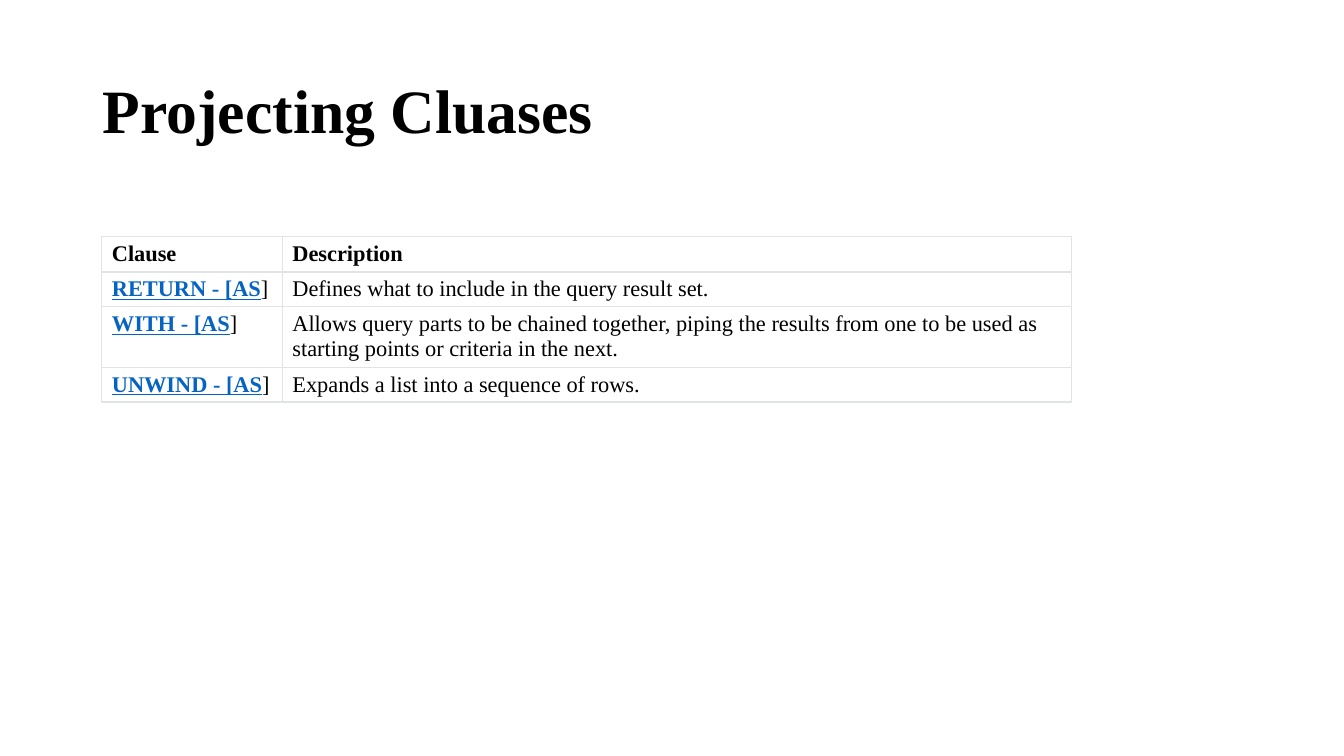
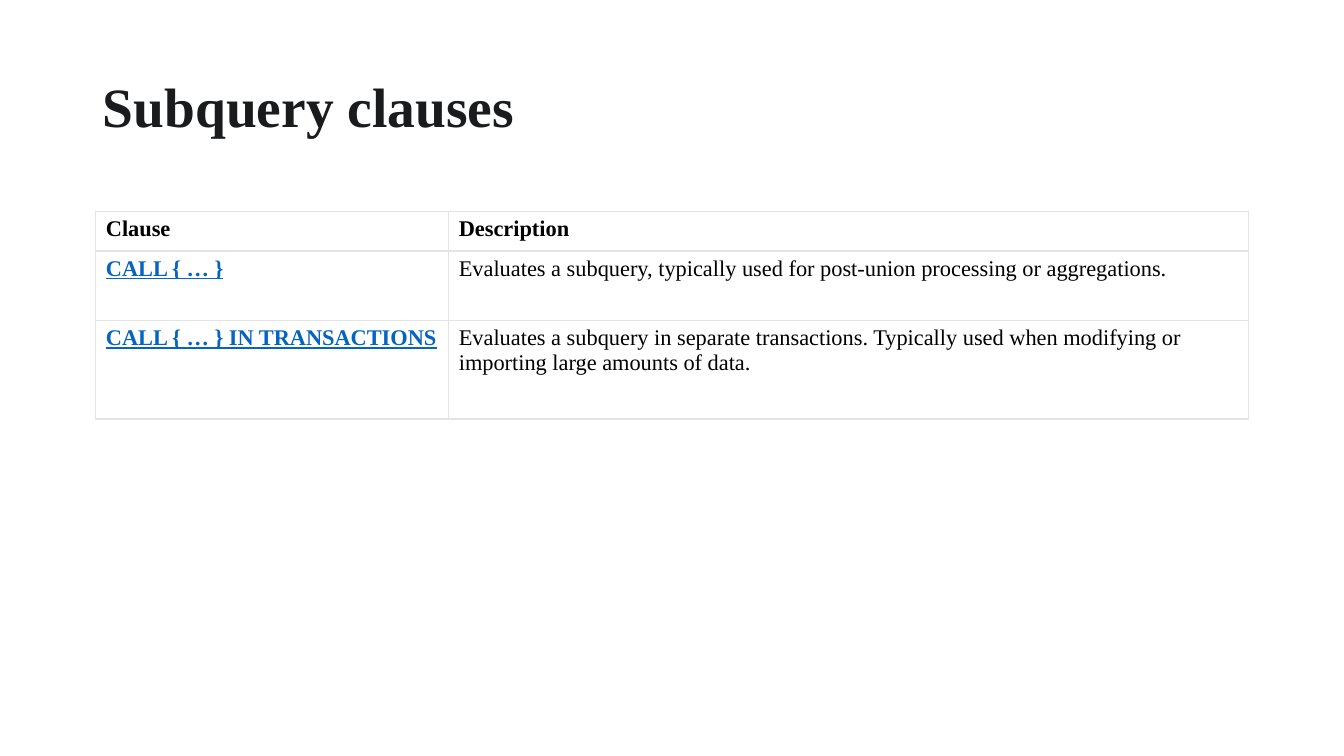
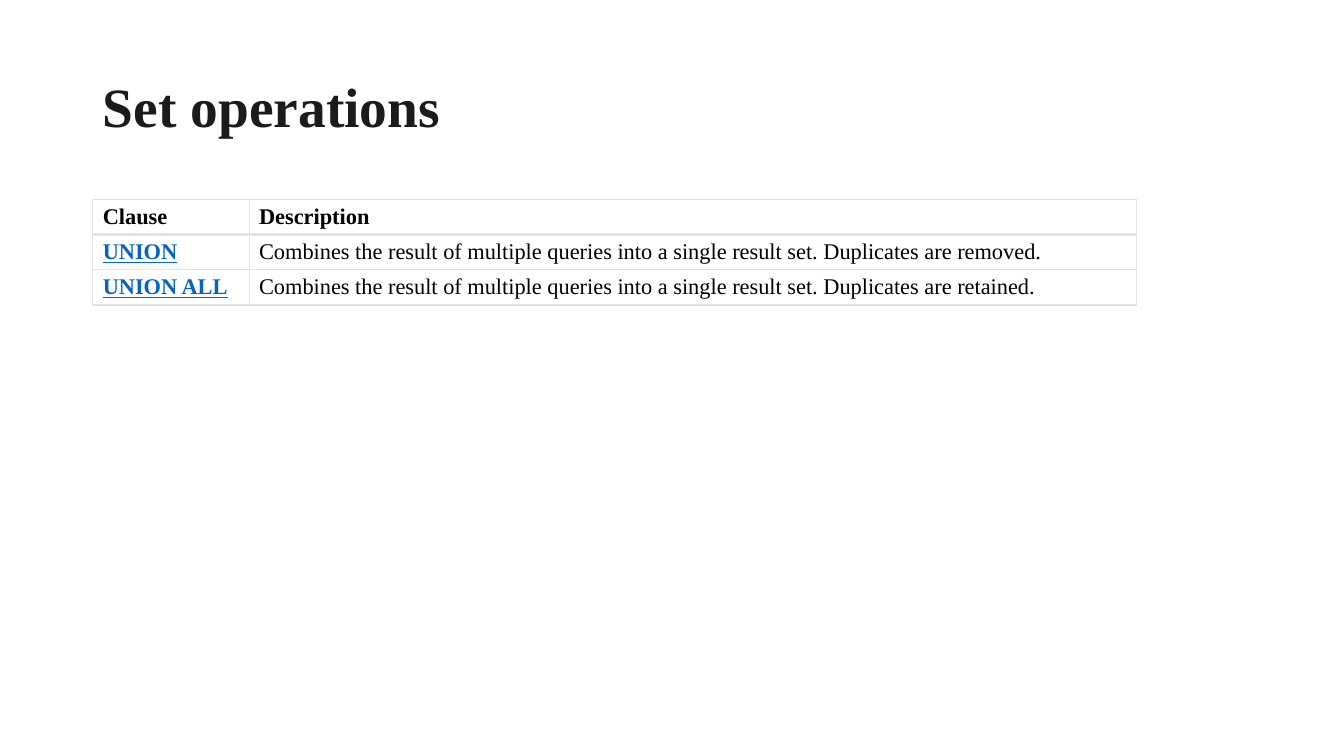
"""Three slides of query clauses, each a title over a two-column table."""
from lxml import etree
from pptx import Presentation, util as u
from pptx.dml.color import RGBColor
from pptx.enum import text
from pptx.oxml.ns import qn

COLORS = {"ink": "000000", "title": "1A1B1D", "link": "0563C1", "rule": "E2E3E5", "paper": "FFFFFF"}
FONT = "Times New Roman"
THIN, THICK = 0.75, 1.88
ROW, TALL_ROW = 4.64, 7.95

prs = Presentation()
prs.slide_width, prs.slide_height = u.Inches(13.33), u.Inches(7.5)
COL_UNIT, ROW_UNIT = prs.slide_width / 100, prs.slide_height / 100


def style(font, size, color, bold):
    font.name, font.size, font.bold = FONT, u.Pt(size), bold
    font.color.rgb = RGBColor.from_string(COLORS[color])


def border(cell, side, width):
    ln = etree.SubElement(cell._tc.get_or_add_tcPr(), qn(f"a:ln{side}"), w=str(u.Pt(width)))
    fill = etree.SubElement(ln, qn("a:solidFill"))
    etree.SubElement(fill, qn("a:srgbClr"), val=COLORS["rule"])


SLIDES = [
    {"title": "Projecting Cluases", "size": 44, "color": "ink", "title_top": 5.33,
     "left": 7.58, "top": 31.33, "cols": [13.43, 58.74], "rows": [ROW, ROW, TALL_ROW, ROW],
     "clauses": [
         ("RETURN - [AS", "]", "Defines what to include in the query result set."),
         ("WITH - [AS", "]", "Allows query parts to be chained together, piping the results from one "
                             "to be used as starting points or criteria in the next."),
         ("UNWIND - [AS", "]", "Expands a list into a sequence of rows.")]},
    {"title": "Subquery clauses", "size": 39.6, "color": "title", "title_top": 4.8,
     "left": 7.13, "top": 28, "cols": [26.26, 59.49], "rows": [5.2, 9.2, 13.07],
     "clauses": [
         ("CALL { … }", "", "Evaluates a subquery, typically used for post-union processing or aggregations."),
         ("CALL { … } IN TRANSACTIONS", "", "Evaluates a subquery in separate transactions. Typically used "
                                            "when modifying or importing large amounts of data.")]},
    {"title": "Set operations", "size": 39.6, "color": "title", "title_top": 4.8,
     "left": 6.9, "top": 26.4, "cols": [11.63, 66.02], "rows": [ROW] * 3,
     "clauses": [
         ("UNION", "", "Combines the result of multiple queries into a single result set. Duplicates are removed."),
         ("UNION ALL", "", "Combines the result of multiple queries into a single result set. "
                           "Duplicates are retained.")]},
]

for page in SLIDES:
    s = prs.slides.add_slide(prs.slide_layouts[5])
    sp = s.shapes.title
    sp.left, sp.top = int(6.9 * COL_UNIT), int(page["title_top"] * ROW_UNIT)
    sp.width, sp.height = int(86.27 * COL_UNIT), int(19.33 * ROW_UNIT)
    tf = sp.text_frame
    tf.text = page["title"]
    tf.vertical_anchor = text.MSO_ANCHOR.MIDDLE
    tf.auto_size = text.MSO_AUTO_SIZE.NONE
    p = tf.paragraphs[0]
    p.alignment, p.line_spacing = text.PP_ALIGN.LEFT, 0.9
    style(p.font, page["size"], page["color"], True)

    rows = [("Clause", "", "Description")] + page["clauses"]
    table = s.shapes.add_table(
        len(rows), 2, int(page["left"] * COL_UNIT), int(page["top"] * ROW_UNIT),
        int(sum(page["cols"]) * COL_UNIT), int(sum(page["rows"]) * ROW_UNIT)).table
    for col, width in zip(table.columns, page["cols"]):
        col.width = int(width * COL_UNIT)
    for i, (clause, tail, description) in enumerate(rows):
        table.rows[i].height = int(page["rows"][i] * ROW_UNIT)
        header, last = i == 0, i == len(rows) - 1
        for j, parts in enumerate([(clause, tail), (description,)]):
            cell = table.cell(i, j)
            for side, width in (("L", THIN), ("R", THIN), ("T", THICK if i == 1 else THIN),
                                ("B", THICK if header or last else THIN)):
                border(cell, side, width)
            cell.fill.solid()
            cell.fill.fore_color.rgb = RGBColor.from_string(COLORS["paper"])
            p = cell.text_frame.paragraphs[0]
            for k, part in enumerate(filter(None, parts)):
                r = p.add_run()
                r.text = part
                link = not header and j == 0 and k == 0
                style(r.font, 16, "link" if link else "ink", header or link)
                r.font.underline = link

prs.save("out.pptx")
